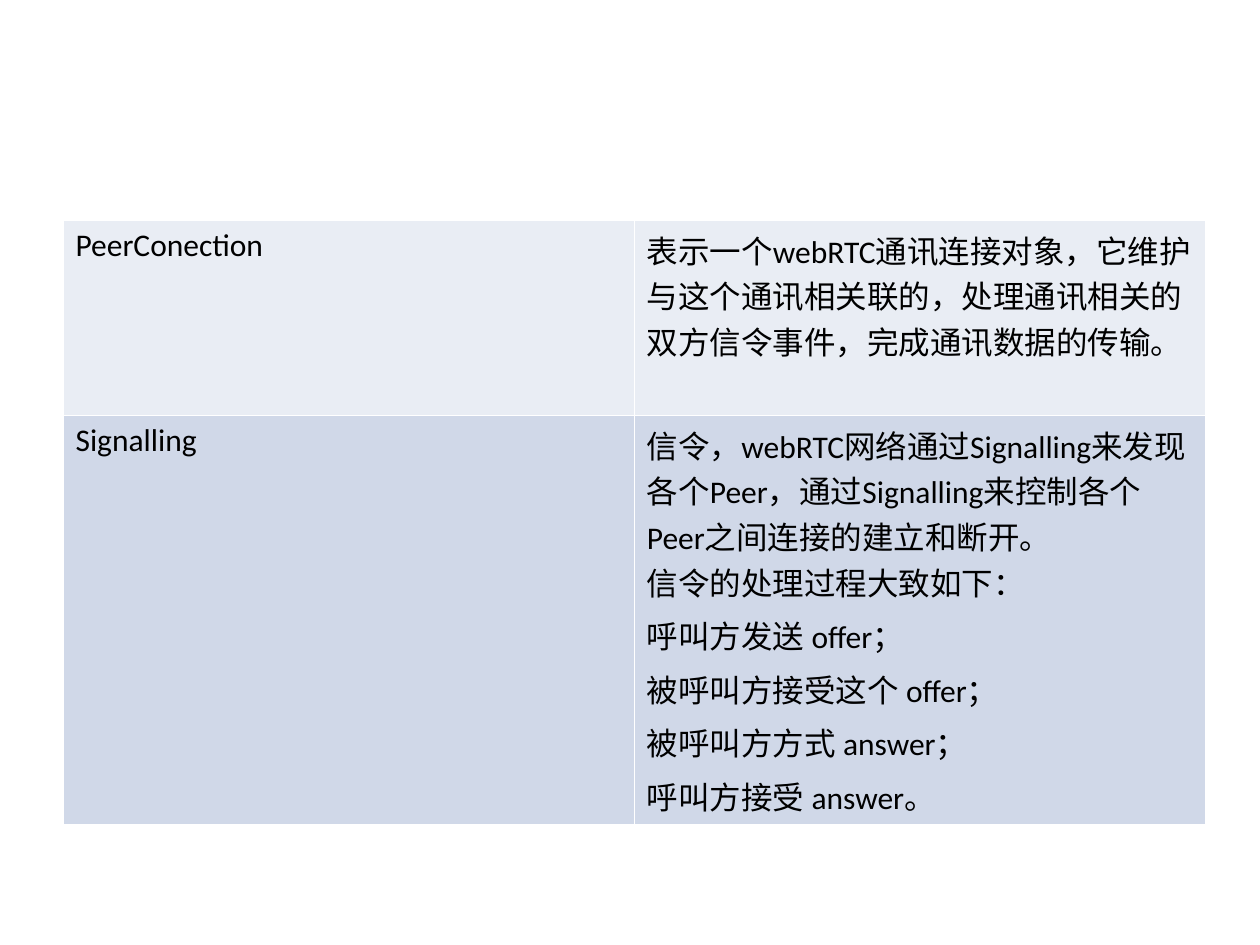
from lxml import etree
from pptx import Presentation
from pptx.dml.color import RGBColor
from pptx.oxml import ns
from pptx.util import Inches, Pt

COLORS = {"text": "000000", "border": "FFFFFF", "light": "E9EDF4", "dark": "D0D8E8"}
ROWS = [
    ("light", 1, [
        ["PeerConection"],
        ["表示一个webRTC通讯连接对象，它维护与这个通讯相关联的，处理通讯相关的双方信令事件，完成通讯数据的传输。"],
    ]),
    ("dark", 2.75, [
        ["Signalling"],
        [
            "信令，webRTC网络通过Signalling来发现各个Peer，通过Signalling来控制各个Peer之间连接的建立和断开。\n信令的处理过程大致如下：",
            "呼叫方发送 offer；",
            "被呼叫方接受这个 offer；",
            "被呼叫方方式 answer；",
            "呼叫方接受 answer。",
        ],
    ]),
]


def add_borders(cell):
    tc_pr = cell._tc.get_or_add_tcPr()
    for side in ("L", "R", "T", "B"):
        ln = etree.SubElement(tc_pr, ns.qn(f"a:ln{side}"), w=str(Pt(0.45)))
        fill = etree.SubElement(ln, ns.qn("a:solidFill"))
        etree.SubElement(fill, ns.qn("a:srgbClr"), val=COLORS["border"])


def add_paragraph(p, content):
    p.space_before = Pt(4.5)
    p._p.get_or_add_pPr().set("hangingPunct", "0")
    for i, line in enumerate(content.split("\n")):
        if i:
            p.add_line_break()
        r = p.add_run()
        r.text = line
        r.font.name = "Calibri"
        r.font.size = Pt(18)
        r.font.color.rgb = RGBColor.from_string(COLORS["text"])


prs = Presentation()
prs.slide_width = Inches(10)
prs.slide_height = Inches(7.5)
s = prs.slides.add_slide(prs.slide_layouts[6])

table = s.shapes.add_table(
    len(ROWS), 2, Inches(0.5), Inches(1.75), Inches(9.07), Inches(3.75)
).table
table.first_row = False
table.horz_banding = False

for row, (color, height, contents) in zip(table.rows, ROWS):
    row.height = Inches(height)
    for cell, paragraphs in zip(row.cells, contents):
        cell.margin_left = cell.margin_right = Inches(0.1)
        cell.margin_top = cell.margin_bottom = Inches(0.05)
        add_borders(cell)
        cell.fill.solid()
        cell.fill.fore_color.rgb = RGBColor.from_string(COLORS[color])
        tf = cell.text_frame
        for i, content in enumerate(paragraphs):
            p = tf.add_paragraph() if i else tf.paragraphs[0]
            add_paragraph(p, content)

prs.save("out.pptx")
